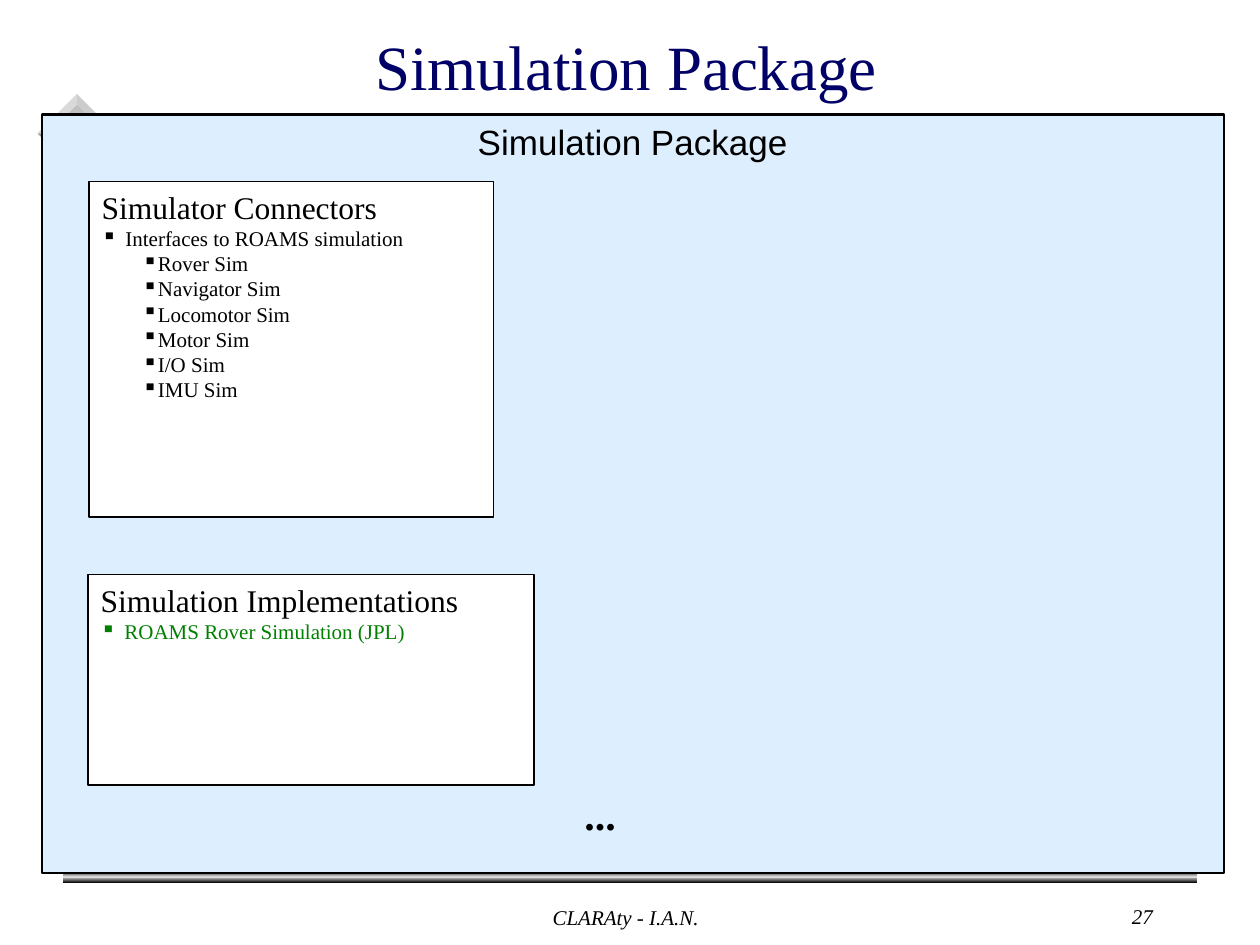
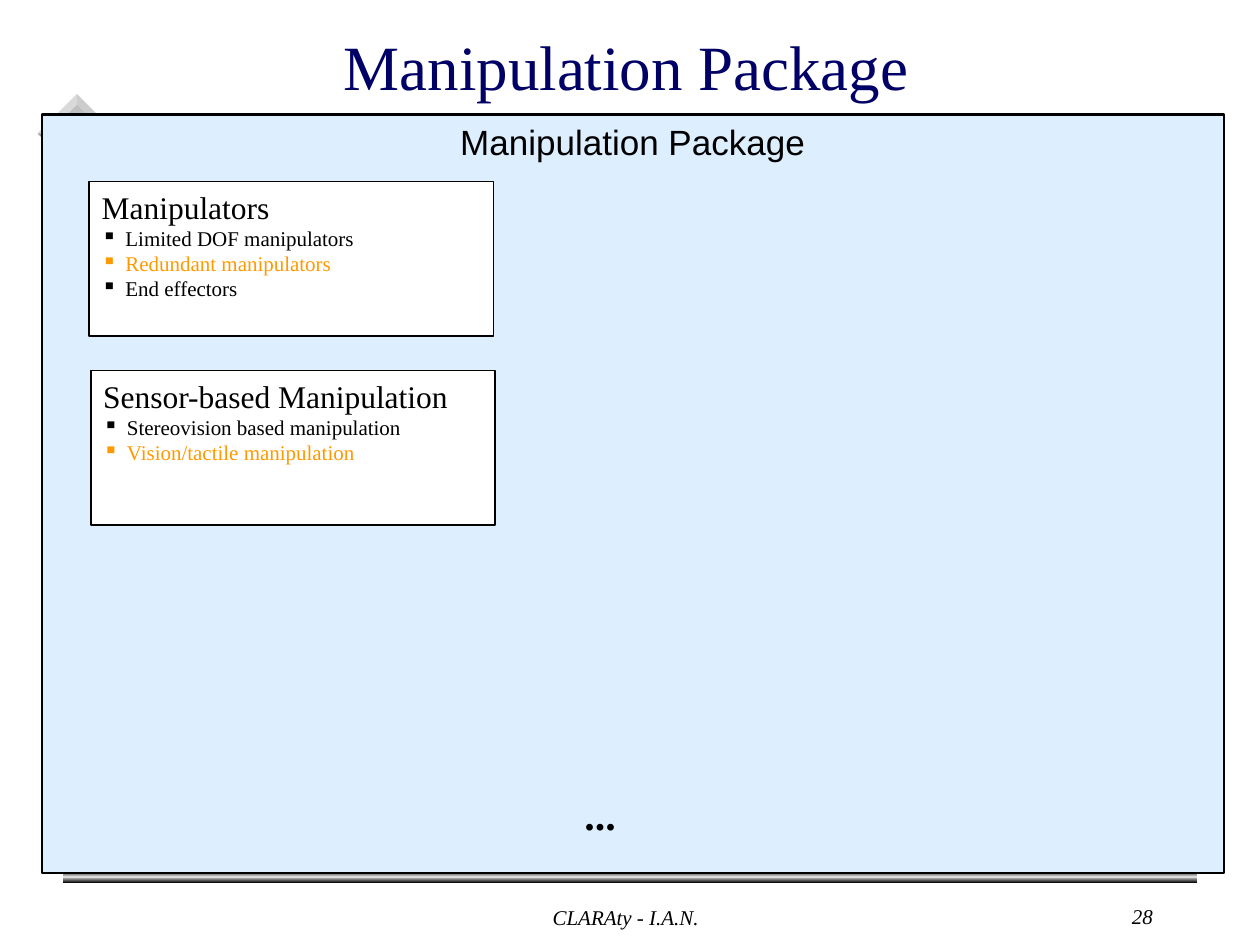
import copy
import lxml.etree
import pptx
import pptx.dml.color
import pptx.enum.shapes
import pptx.enum.text
import pptx.oxml.ns
import pptx.util

Cm = pptx.util.Cm
RGBColor = pptx.dml.color.RGBColor
SHAPE = pptx.enum.shapes.MSO_SHAPE
ALIGN = pptx.enum.text.PP_ALIGN
ANCHOR = pptx.enum.text.MSO_ANCHOR

BLACK = RGBColor(0x00, 0x00, 0x00)
WHITE = RGBColor(0xFF, 0xFF, 0xFF)
NAVY = RGBColor(0x00, 0x00, 0x66)
PALE_BLUE = RGBColor(0xDD, 0xEE, 0xFF)
SILVER = RGBColor(0xC0, 0xC0, 0xC0)
SHEEN = RGBColor(0xDD, 0xDD, 0xDD)
GREEN = RGBColor(0x00, 0x80, 0x00)
ORANGE = RGBColor(0xFF, 0x99, 0x00)
SERIF = "Times New Roman"
BULLET_INDENTS = [(0.48, -0.48), (1.12, -0.3)]


def write(frame, text, size=12, font=SERIF, color=BLACK, align=ALIGN.LEFT,
          bold=False, italic=False, level=None, wrap=True):
    frame.word_wrap = wrap
    paragraph = frame.paragraphs[0]
    if paragraph.runs:
        paragraph = frame.add_paragraph()
    paragraph.alignment = align
    if level is not None:
        paragraph.level = level
        margin, indent = BULLET_INDENTS[level]
        properties = paragraph._p.get_or_add_pPr()
        properties.set("marL", str(Cm(margin)))
        properties.set("indent", str(Cm(indent)))
        bullet = lxml.etree.SubElement(properties, pptx.oxml.ns.qn("a:buChar"))
        bullet.set("char", "▪")
    run = paragraph.add_run()
    run.text = text
    run.font.name = font
    run.font.size = pptx.util.Pt(size)
    run.font.color.rgb = color
    run.font.bold = bold
    run.font.italic = italic


def draw(slide, kind, place, fill, line_width=0):
    shape = slide.shapes.add_shape(kind, *[Cm(length) for length in place])
    shape.shadow.inherit = False
    shape.fill.solid()
    shape.fill.fore_color.rgb = fill
    if line_width:
        shape.line.color.rgb = BLACK
        shape.line.width = pptx.util.Pt(line_width)
    else:
        shape.line.fill.background()
    shape.text_frame.vertical_anchor = ANCHOR.TOP
    return shape


packages = [
    ("Simulation Package", 27, [
        ("Simulator Connectors", (1.8, 3.66, 8.15, 6.76), [
            ("Interfaces to ROAMS simulation", 0, BLACK),
            ("Rover Sim", 1, BLACK),
            ("Navigator Sim", 1, BLACK),
            ("Locomotor Sim", 1, BLACK),
            ("Motor Sim", 1, BLACK),
            ("I/O Sim", 1, BLACK),
            ("IMU Sim", 1, BLACK),
        ]),
        ("Simulation Implementations", (1.78, 11.58, 8.99, 4.24), [
            ("ROAMS Rover Simulation (JPL)", 0, GREEN),
        ]),
    ]),
    ("Manipulation Package", 28, [
        ("Manipulators", (1.8, 3.66, 8.15, 3.12), [
            ("Limited DOF manipulators", 0, BLACK),
            ("Redundant manipulators", 0, ORANGE),
            ("End effectors", 0, BLACK),
        ]),
        ("Sensor-based Manipulation", (1.83, 7.47, 8.15, 3.12), [
            ("Stereovision based manipulation", 0, BLACK),
            ("Vision/tactile manipulation", 0, ORANGE),
        ]),
    ]),
]

deck = pptx.Presentation()
deck.slide_width = Cm(25.4)
deck.slide_height = Cm(19.05)

for package, number, modules in packages:
    slide = deck.slides.add_slide(deck.slide_layouts[5])

    diamond = draw(slide, SHAPE.BEVEL, (0.99, 2.13, 1.12, 1.12), SILVER)
    diamond.adjustments[0] = 0.131
    diamond.rotation = 45

    band = draw(slide, SHAPE.RECTANGLE, (1.27, 17.55, 22.86, 0.25), BLACK)
    band.fill.gradient()
    band.fill.gradient_angle = 90
    last_stop = band._element.xpath(".//a:gs")[-1]
    last_stop.addnext(copy.deepcopy(last_stop))
    for stop, position, color in zip(band.fill.gradient_stops, (0, 0.5, 1), (BLACK, SHEEN, BLACK)):
        stop.position = position
        stop.color.rgb = color

    heading = slide.shapes.title
    heading.left, heading.top = Cm(4.47), Cm(0.58)
    heading.width, heading.height = Cm(16.31), Cm(1.47)
    heading.text_frame.auto_size = pptx.enum.text.MSO_AUTO_SIZE.NONE
    heading.text_frame.vertical_anchor = ANCHOR.MIDDLE
    write(heading.text_frame, package, size=36, color=NAVY, align=ALIGN.CENTER)

    panel = draw(slide, SHAPE.RECTANGLE, (0.84, 2.31, 23.83, 15.29), PALE_BLUE, 1.25)
    write(panel.text_frame, package, size=20, font="Arial", align=ALIGN.CENTER)

    for module, place, features in modules:
        card = draw(slide, SHAPE.RECTANGLE, place, WHITE, 1)
        write(card.text_frame, module, size=18)
        for feature, level, color in features:
            write(card.text_frame, feature, color=color, level=level)

    for text, place, style in [
        ("...", (11.53, 15.77, 1.14, 1.27),
         dict(size=24, bold=True, align=ALIGN.CENTER, wrap=False)),
        ("CLARAty - I.A.N.", (8.59, 18.11, 8.05, 0.51), dict(italic=True, align=ALIGN.CENTER)),
        (str(number), (18.21, 18.08, 5.28, 0.56), dict(italic=True, align=ALIGN.RIGHT)),
    ]:
        label = slide.shapes.add_textbox(*[Cm(length) for length in place])
        write(label.text_frame, text, **style)

deck.save("out.pptx")
